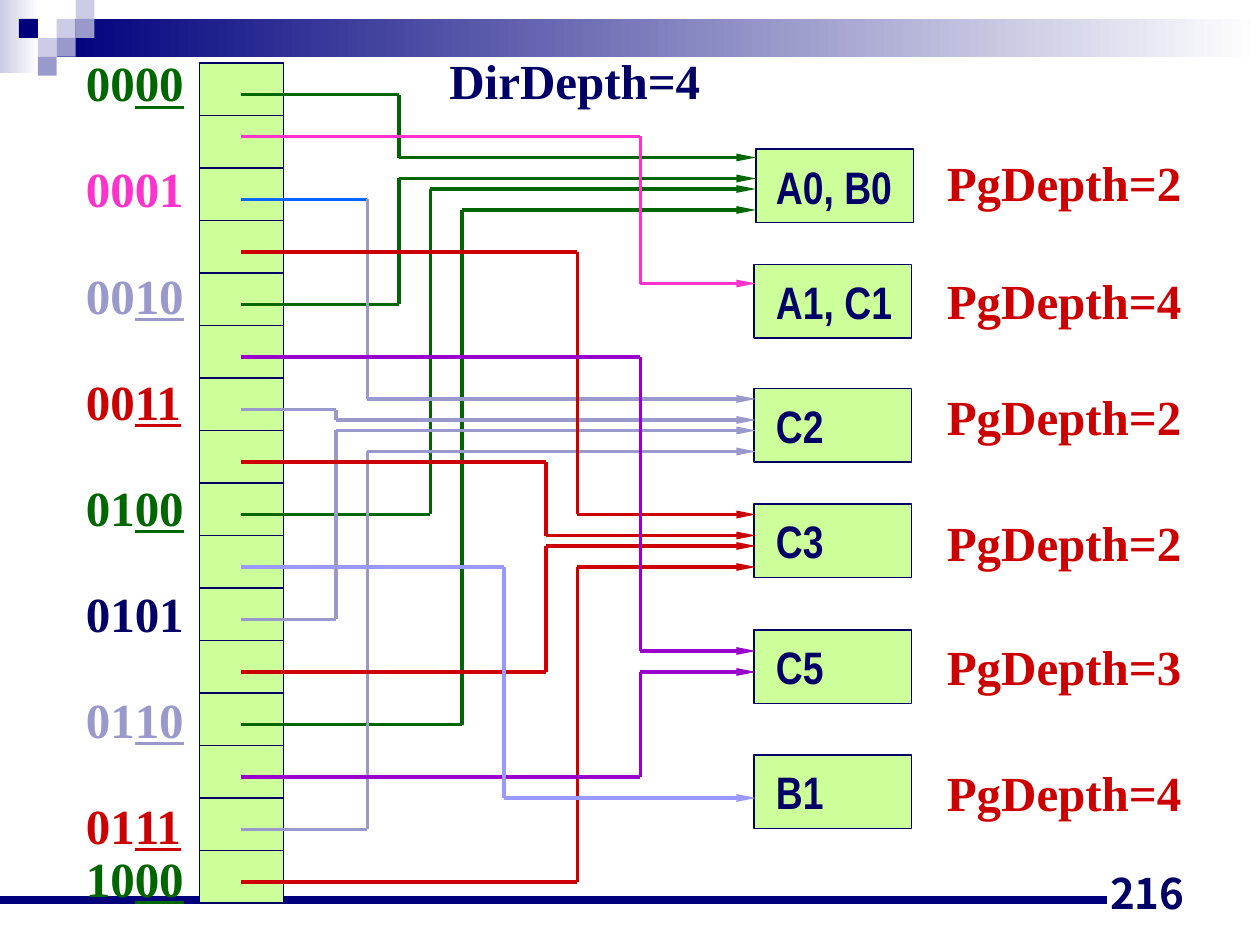
import pptx
import pptx.util
import pptx.dml.color
import pptx.enum.shapes
import pptx.enum.text
import pptx.oxml
import pptx.oxml.ns

RGBColor = pptx.dml.color.RGBColor
ALIGN = pptx.enum.text.PP_ALIGN
ANCHOR = pptx.enum.text.MSO_ANCHOR

SCALE = 7620  # EMU in one px, 120 px to the inch
WHITE = RGBColor(0xFF, 0xFF, 0xFF)
NAVY = RGBColor(0x00, 0x00, 0x7D)
INK = RGBColor(0x00, 0x00, 0x66)
PALE = RGBColor(0xCC, 0xCC, 0xE6)
MAUVE = RGBColor(0x99, 0x99, 0xCC)
LIME = RGBColor(0xCC, 0xFF, 0x99)
GREEN = RGBColor(0x00, 0x66, 0x00)
PINK = RGBColor(0xFF, 0x33, 0xCC)
BLUE = RGBColor(0x00, 0x66, 0xFF)
RED = RGBColor(0xCC, 0x00, 0x00)
PLUM = RGBColor(0x99, 0x00, 0xCC)
SKY = RGBColor(0x99, 0x99, 0xFF)
SERIF = "Times New Roman"
NARROW = "Arial Narrow"
SANS = "Noto Sans CJK JP"


def px(*nums):
    return [pptx.util.Emu(n * SCALE) for n in nums]


class Board:
    """Holds the text style and the current slide."""

    def __init__(self, slide, font, size):
        self.slide, self.font, self.size = slide, font, size

    def rect(self, x, y, w, h, fill, edge=None, fade=None):
        kind = pptx.enum.shapes.MSO_SHAPE.RECTANGLE
        shape = self.slide.shapes.add_shape(kind, *px(x, y, w, h))
        shape.shadow.inherit = False
        if fade is None:
            shape.fill.solid()
            shape.fill.fore_color.rgb = fill
        else:
            shape.fill.gradient()
            shape.fill.gradient_angle = 0
            for stop, tone in zip(shape.fill.gradient_stops, (fill, fade)):
                stop.color.rgb = tone
        if edge is None:
            shape.line.fill.background()
        else:
            shape.line.color.rgb = edge
            shape.line.width = pptx.util.Pt(0.75)
        return shape

    def line(self, start, end, color, width, arrow=False):
        kind = pptx.enum.shapes.MSO_CONNECTOR.STRAIGHT
        wire = self.slide.shapes.add_connector(kind, *px(*start, *end))
        wire.line.color.rgb = color
        wire.line.width = pptx.util.Pt(width)
        props = wire.element.spPr
        space = pptx.oxml.ns.nsdecls("a")
        if arrow:
            props.get_or_add_ln().append(pptx.oxml.parse_xml(
                f'<a:tailEnd {space} type="triangle" w="sm" len="lg"/>'))
        props.append(pptx.oxml.parse_xml(f'<a:effectLst {space}/>'))
        return wire

    def fill(self, para, runs, font=None, size=None, align=ALIGN.LEFT):
        para.alignment = align
        for words, color, under in runs:
            run = para.add_run()
            run.text = words
            face = run.font
            face.name = font or self.font
            face.size = pptx.util.Pt(size or self.size)
            face.bold = True
            face.underline = under
            face.color.rgb = color

    def frame(self, shape, anchor=ANCHOR.TOP, wrap=False, left=12):
        frame = shape.text_frame
        frame.auto_size = pptx.enum.text.MSO_AUTO_SIZE.NONE
        frame.word_wrap = wrap
        frame.vertical_anchor = anchor
        frame.margin_left, frame.margin_right = px(left, 12)
        frame.margin_top = frame.margin_bottom = px(6)[0]
        return frame

    def text(self, x, y, w, h, anchor=ANCHOR.TOP, wrap=False):
        return self.frame(self.slide.shapes.add_textbox(*px(x, y, w, h)), anchor, wrap)

    def title(self, x, y, w, h, words, color):
        shape = self.slide.shapes.title
        shape.left, shape.top, shape.width, shape.height = px(x, y, w, h)
        self.fill(self.frame(shape).paragraphs[0], [(words, color, False)])


def main():
    deck = pptx.Presentation()
    deck.slide_width, deck.slide_height = px(1200, 900)
    board = Board(deck.slides.add_slide(deck.slide_layouts[5]), SERIF, 28)

    # Banner, mosaic and foot rule
    board.rect(0, 0, 37, 70, PALE, fade=WHITE)
    board.rect(54, 18, 1146, 36, NAVY, fade=WHITE)
    for col, row, tone in [(2, 1, PALE), (3, 0, PALE), (3, 1, MAUVE), (1, 2, PALE),
                           (0, 1, NAVY), (2, 2, MAUVE), (1, 3, MAUVE)]:
        board.rect(18 + 18 * col, 18 * row, 18, 18, tone)
    board.line((0, 857), (1054, 857), NAVY, 4.5)

    board.title(416, 42, 263, 68, "DirDepth=4", INK)

    # Pages with their depths
    pages = [("A0, B0", 720, 142, 139, 2), ("A1, C1", 718, 252, 252, 4),
             ("C2", 718, 370, 362, 2), ("C3", 718, 480, 482, 2),
             ("C5", 718, 600, 600, 3), ("B1", 718, 719, 720, 4)]
    for name, x, y, note, depth in pages:
        box = board.rect(x, y, 150, 70, LIME, INK)
        frame = board.frame(box, ANCHOR.MIDDLE, left=739 - x)
        board.fill(frame.paragraphs[0], [(name, INK, False)], NARROW, 26)
        frame = board.text(890, note, 247, 68)
        board.fill(frame.paragraphs[0], [(f"PgDepth={depth}", RED, False)])

    # Directory of sixteen cells
    cells = board.rect(190, 60, 80, 800, LIME, INK)
    for row in range(1, 16):
        y = 60 + 50 * row
        rule = board.line((190, y), (270, y), INK, 0.75)
        if row == 8:
            rule.begin_connect(cells, 1)
            rule.end_connect(cells, 3)

    # Cell keys, the shared suffix underlined
    keys = [("00", "00", GREEN), ("0001", "", PINK), ("00", "10", MAUVE),
            ("00", "11", RED), ("01", "00", GREEN), ("0101", "", INK),
            ("01", "10", MAUVE), ("01", "11", RED), ("10", "00", GREEN)]
    frame = board.text(70, 50, 120, 820, wrap=True)
    for i, (head, tail, color) in enumerate(keys):
        para = frame.add_paragraph() if i else frame.paragraphs[0]
        para.line_spacing = pptx.util.Pt(30.3)
        para.space_after = pptx.util.Pt(30.3 if i < 7 else 0)
        runs = [(head, color, False), (tail, color, True)]
        board.fill(para, [run for run in runs if run[0]])

    # Pointers: cell row, x of the turn, y at the page
    links = [(GREEN, [(0, 380, 150), (4, 380, 170), (8, 410, 180), (12, 440, 200)]),
             (PINK, [(1, 610, 270)]),
             (MAUVE, [(2, 350, 380), (6, 320, 400), (10, 320, 410), (14, 350, 430)]),
             (RED, [(3, 550, 490), (7, 520, 510), (11, 520, 520), (15, 550, 540)]),
             (PLUM, [(5, 610, 620), (13, 610, 640)]),
             (SKY, [(9, 480, 760)])]
    for color, group in links:
        for row, turn, end in group:
            start = 130 if row == 1 else 90 + 50 * row
            board.line((230, start), (turn, start), BLUE if row == 2 else color, 2.25)
            board.line((turn, start), (turn, end), color, 2.25)
            board.line((turn, end), (720, end), color, 2.25, arrow=True)

    # Page number
    frame = board.text(860, 820, 280, 60, ANCHOR.BOTTOM, wrap=True)
    board.fill(frame.paragraphs[0], [("216", INK, False)], SANS, 24, ALIGN.RIGHT)

    deck.save("out.pptx")


if __name__ == "__main__":
    main()
